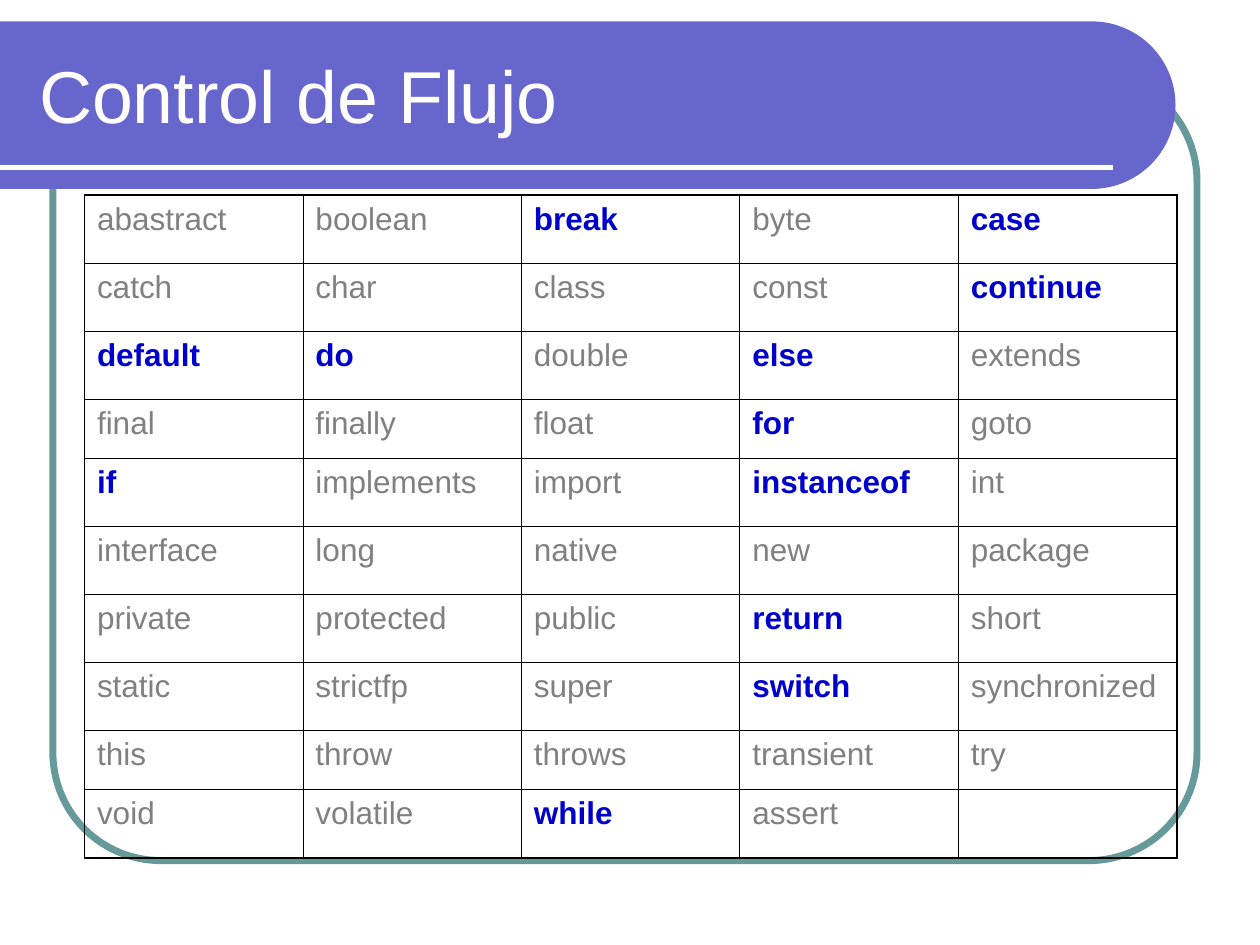
from math import cos, pi, sin
from typing import NamedTuple

from lxml import etree
from pptx import Presentation
from pptx.dml.color import RGBColor
from pptx.enum import shapes, text
from pptx.oxml import ns
from pptx.util import Inches, Pt

FONT = "Arial"
GREY, BLUE, BLACK, WHITE = "808080", "0000CC", "000000", "FFFFFF"
WORDS = """abastract boolean break byte case
catch char class const continue
default do double else extends
final finally float for goto
if implements import instanceof int
interface long native new package
private protected public return short
static strictfp super switch synchronized
this throw throws transient try
void volatile while assert"""
FLOW = set("break case continue default do else for if instanceof return switch while".split())
COLS = 5
TALL, SHORT = 0.54, 0.47
SHORT_ROWS = (3, 8)
THICK, THIN = 1.08, 0.45


class Box(NamedTuple):
    left: float
    top: float
    width: float
    height: float

    def inches(self) -> list[int]:
        return [Inches(side) for side in self]


FRAME = Box(0.42, 0.58, 9.08, 6.25)
BAND = Box(0, 0.17, 9.33, 1.33)
TITLE = Box(0.21, 0.25, 8.77, 1)
GRID = Box(0.67, 1.55, 8.67, 5.24)


def color(code: str) -> RGBColor:
    return RGBColor.from_string(code)


def style(font, size: float, code: str, bold: bool = False) -> None:
    font.name, font.size, font.bold = FONT, Pt(size), bold
    font.color.rgb = color(code)


def draw_frame(slide) -> None:
    frame = slide.shapes.add_shape(shapes.MSO_SHAPE.ROUNDED_RECTANGLE, *FRAME.inches())
    frame.adjustments[0] = 0.137
    frame.shadow.inherit = False
    frame.fill.background()
    frame.line.color.rgb = color("669999")
    frame.line.width = Pt(4)


def draw_band(slide) -> None:
    """Draw the title band: square on the left, a half circle on the right."""
    radius = BAND.height / 2
    hub, mid = BAND.width - radius, BAND.top + radius
    steps = 60
    turns = [-pi / 2 + pi * i / steps for i in range(steps + 1)]
    arc = [(hub + radius * cos(t), mid + radius * sin(t)) for t in turns]
    pen = slide.shapes.build_freeform(0, Inches(BAND.top), scale=1.0)
    points = arc + [(0, BAND.top + BAND.height)]
    pen.add_line_segments([(Inches(x), Inches(y)) for x, y in points], close=True)
    band = pen.convert_to_shape()
    band.shadow.inherit = False
    band.fill.solid()
    band.fill.fore_color.rgb = color("6666CC")
    band.line.fill.background()


def draw_rule(slide) -> None:
    y = Inches(1.33)
    rule = slide.shapes.add_connector(shapes.MSO_CONNECTOR.STRAIGHT, 0, y, Inches(8.83), y)
    rule.line.color.rgb = color(WHITE)
    rule.line.width = Pt(3)
    etree.SubElement(rule.element.spPr, ns.qn("a:effectLst"))


def write_title(slide) -> None:
    title = slide.shapes.title
    title.left, title.top, title.width, title.height = TITLE.inches()
    frame = title.text_frame
    frame.text = "Control de Flujo"
    frame.auto_size = text.MSO_AUTO_SIZE.NONE
    frame.vertical_anchor = text.MSO_ANCHOR.MIDDLE
    line = frame.paragraphs[0]
    line.alignment = text.PP_ALIGN.LEFT
    style(line.font, 42, WHITE)
    # Moved last in the tree so that it lies above the band
    slide.shapes.element.append(title.element)


def set_edge(cell, side: str, width: float) -> None:
    props = cell._tc.get_or_add_tcPr()
    edge = etree.SubElement(props, ns.qn(f"a:ln{side}"), w=str(Pt(width)))
    fill = etree.SubElement(edge, ns.qn("a:solidFill"))
    etree.SubElement(fill, ns.qn("a:srgbClr"), val=BLACK)


def draw_grid(slide) -> None:
    rows = [line.split() for line in WORDS.splitlines()]
    table = slide.shapes.add_table(len(rows), COLS, *GRID.inches()).table
    table.first_row = table.horz_banding = False
    for col in table.columns:
        col.width = Inches(GRID.width / COLS)
    for r, words in enumerate(rows):
        table.rows[r].height = Inches(SHORT if r in SHORT_ROWS else TALL)
        for c in range(COLS):
            cell = table.cell(r, c)
            outer = {"L": c == 0, "R": c == COLS - 1, "T": r == 0, "B": r == len(rows) - 1}
            for side, thick in outer.items():
                set_edge(cell, side, THICK if thick else THIN)
            cell.fill.background()
            word = words[c] if c < len(words) else ""
            cell.text = word
            line = cell.text_frame.paragraphs[0]
            line.space_before = Pt(4.5)
            key = word in FLOW
            style(line.font, 18, BLUE if key else GREY, key)


def main() -> None:
    deck = Presentation()
    deck.slide_width, deck.slide_height = Inches(10), Inches(7.5)
    slide = deck.slides.add_slide(deck.slide_layouts.get_by_name("Title Only"))
    draw_frame(slide)
    draw_band(slide)
    draw_rule(slide)
    write_title(slide)
    draw_grid(slide)
    deck.save("out.pptx")


if __name__ == "__main__":
    main()
